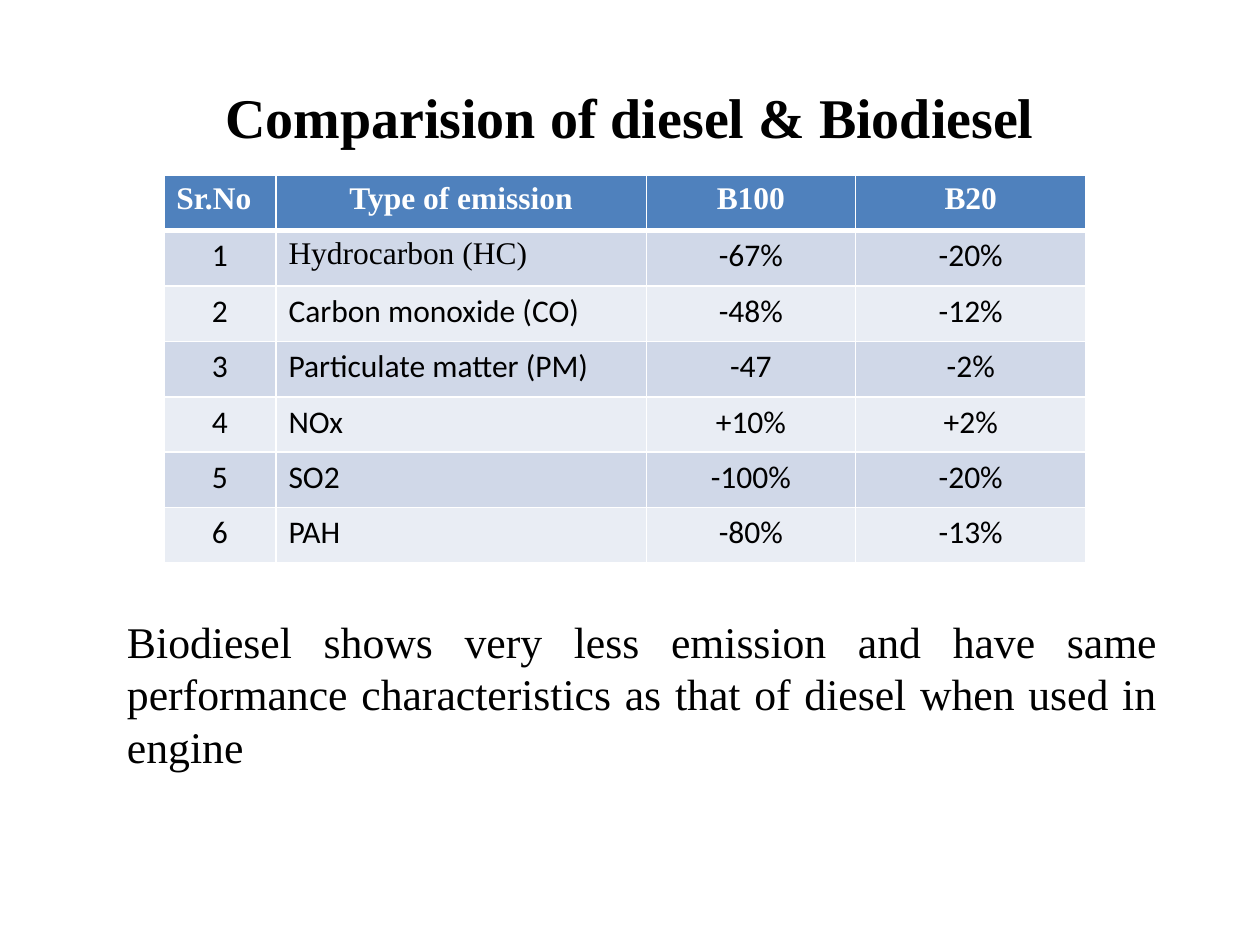
from dataclasses import dataclass

from lxml import etree
from pptx import Presentation
from pptx import util as u
from pptx.dml.color import RGBColor
from pptx.enum import text
from pptx.oxml import ns


@dataclass(frozen=True)
class Theme:
    serif: str = "Times New Roman"
    sans: str = "Calibri"
    black: str = "000000"
    white: str = "FFFFFF"
    header: str = "4F81BD"
    bands: tuple = ("D0D8E8", "E9EDF4")
    title: int = 32
    body: int = 25
    cell: int = 18


T = Theme()
LEFT, CENTER, JUSTIFY = text.PP_ALIGN.LEFT, text.PP_ALIGN.CENTER, text.PP_ALIGN.JUSTIFY


def write(tf, words, size, font=T.serif, color=T.black, bold=False, align=LEFT):
    p = tf.paragraphs[0]
    p.alignment = align
    r = p.add_run()
    r.text = words
    r.font.size = u.Pt(size)
    r.font.name = font
    r.font.bold = bold
    r.font.color.rgb = RGBColor.from_string(color)


def add_border(cell, side, width):
    tc_pr = cell._tc.get_or_add_tcPr()
    ln = etree.SubElement(tc_pr, ns.qn(f"a:ln{side}"), w=str(u.Pt(width)))
    fill = etree.SubElement(ln, ns.qn("a:solidFill"))
    etree.SubElement(fill, ns.qn("a:srgbClr"), val=T.white)


prs = Presentation()
prs.slide_width, prs.slide_height = u.Inches(10), u.Inches(7.5)
s = prs.slides.add_slide(prs.slide_layouts[6])

# Title
sp = s.shapes.add_textbox(u.Inches(0.5), u.Inches(0.3), u.Inches(9), u.Inches(1.25))
tf = sp.text_frame
tf.word_wrap = True
tf.vertical_anchor = text.MSO_ANCHOR.MIDDLE
write(tf, "Comparision of diesel & Biodiesel", T.title, bold=True, align=CENTER)

# Conclusion
sp = s.shapes.add_textbox(u.Inches(0.91), u.Inches(4.83), u.Inches(8.37), u.Inches(1.36))
tf = sp.text_frame
tf.word_wrap = True
write(tf, "Biodiesel shows very less emission and have same performance "
          "characteristics as that of diesel when used in engine",
      T.body, align=JUSTIFY)

# Emission table
rows = [
    ("Sr.No", "Type of emission", "B100", "B20"),
    ("1", "Hydrocarbon (HC)", "-67%", "-20%"),
    ("2", "Carbon monoxide (CO)", "-48%", "-12%"),
    ("3", "Particulate matter (PM)", "-47", "-2%"),
    ("4", "NOx", "+10%", "+2%"),
    ("5", "SO2", "-100%", "-20%"),
    ("6", "PAH", "-80%", "-13%"),
]
widths = [0.89, 2.94, 1.66, 1.83]
row_height = 0.44
table = s.shapes.add_table(
    len(rows), len(widths), u.Inches(1.3), u.Inches(1.39),
    u.Inches(sum(widths)), u.Inches(row_height * len(rows))).table
for column, width in zip(table.columns, widths):
    column.width = u.Inches(width)

for i, row in enumerate(rows):
    table.rows[i].height = u.Inches(row_height)
    is_header = i == 0
    for j, words in enumerate(row):
        cell = table.cell(i, j)
        # Borders come before the fill; the rule under the header is thicker
        for side in "LRTB":
            under_header = (i, side) in ((0, "B"), (1, "T"))
            add_border(cell, side, 3 if under_header else 1)
        cell.fill.solid()
        fill = T.header if is_header else T.bands[(i - 1) % 2]
        cell.fill.fore_color.rgb = RGBColor.from_string(fill)

        is_serif = is_header or words == "Hydrocarbon (HC)"
        is_left = words == "Sr.No" or (j == 1 and not is_header)
        write(cell.text_frame, words, T.cell,
              font=T.serif if is_serif else T.sans,
              color=T.white if is_header else T.black,
              bold=is_header, align=LEFT if is_left else CENTER)

prs.save("out.pptx")
